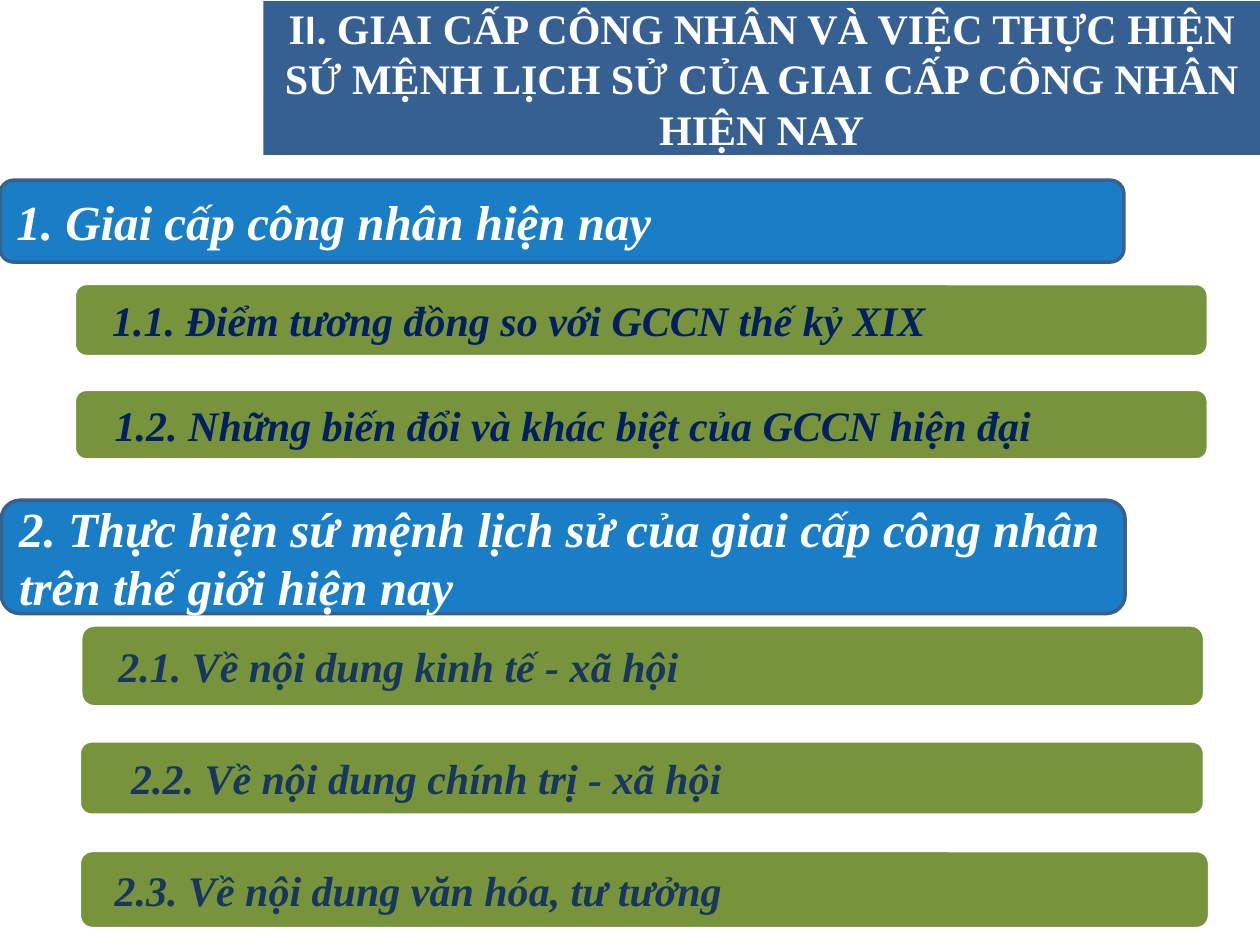
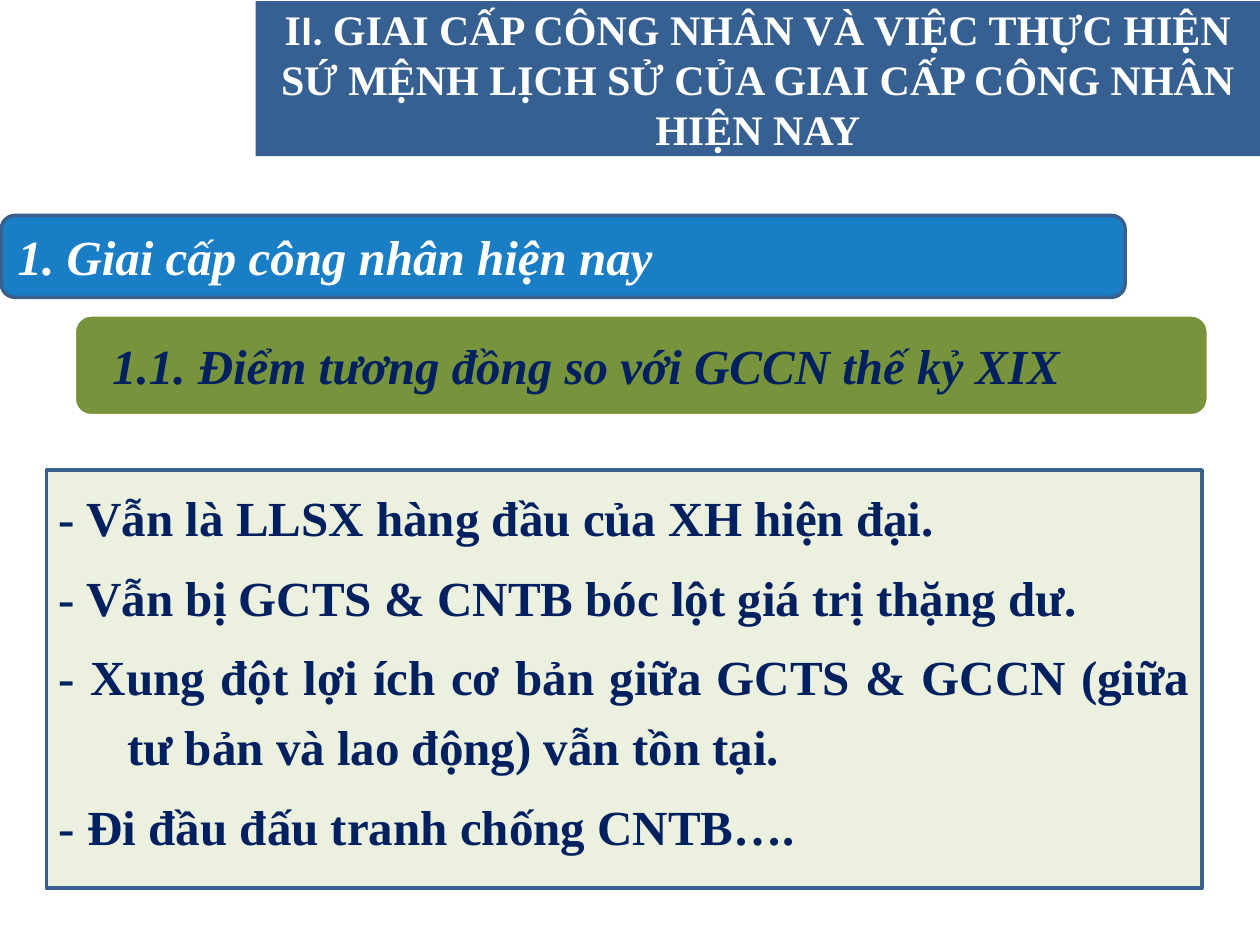
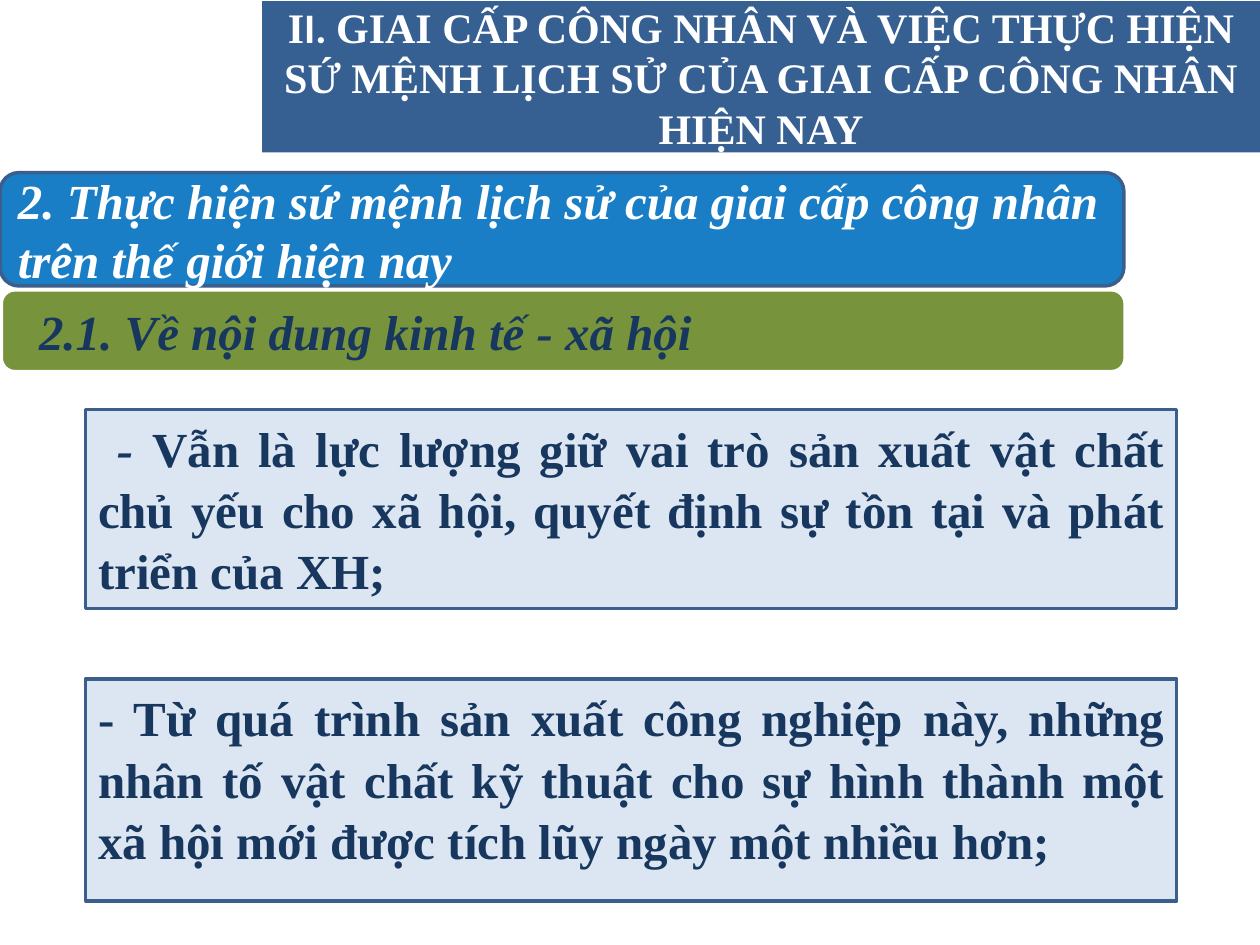
from dataclasses import dataclass

from lxml import etree
from pptx import Presentation
from pptx.dml.color import RGBColor
from pptx.enum.shapes import MSO_SHAPE
from pptx.enum.text import MSO_ANCHOR, PP_ALIGN
from pptx.oxml.ns import qn
from pptx.util import Inches, Pt

RECTANGLE = MSO_SHAPE.RECTANGLE
ROUNDED = MSO_SHAPE.ROUNDED_RECTANGLE
TOP, MIDDLE = MSO_ANCHOR.TOP, MSO_ANCHOR.MIDDLE
LEFT, CENTER, JUSTIFY = PP_ALIGN.LEFT, PP_ALIGN.CENTER, PP_ALIGN.JUSTIFY


@dataclass(frozen=True)
class Theme:
    white: str = "FFFFFF"
    title_band: str = "376092"
    heading: str = "0070C0"
    heading_opacity: int = 90
    outline: str = "3A5F8C"
    topic: str = "77933C"
    pale_green: str = "EBF1DE"
    pale_blue: str = "DCE6F2"
    navy: str = "002060"
    slate: str = "17375E"
    serif: str = "Times New Roman"
    sans: str = "Calibri"
    normal: int = 24
    large: int = 28
    line: int = 2


THEME = Theme()


@dataclass(frozen=True)
class Area:
    left: float
    top: float
    width: float
    height: float


@dataclass(frozen=True)
class Span:
    text: str
    font: str = THEME.serif
    italic: bool = False


@dataclass(frozen=True)
class Style:
    size: int
    color: str
    align: PP_ALIGN = LEFT
    anchor: MSO_ANCHOR = MIDDLE
    line_spacing: int | None = None
    space_before: float = 0
    hanging: float = 0


@dataclass(frozen=True)
class Heading:
    text: str
    left: float
    top: float
    height: float


@dataclass(frozen=True)
class Topic:
    text: str
    area: Area
    color: str
    size: int = THEME.normal
    shift: float = 0.06


@dataclass(frozen=True)
class Panel:
    area: Area
    fill: str
    style: Style
    paragraphs: list[list[Span]]


@dataclass(frozen=True)
class PageContent:
    title_left: float
    title_height: float
    headings: list[Heading]
    topics: list[Topic]
    panels: list[Panel]


# Text shared between slides
TITLE = [
    Span("I"),
    Span("I. ", THEME.sans),
    Span("GIAI CẤP CÔNG NHÂN VÀ VIỆC THỰC HIỆN SỨ MỆNH LỊCH SỬ "
         "CỦA GIAI CẤP CÔNG NHÂN HIỆN NAY"),
]
WORKERS_TODAY = "1. Giai cấp công nhân hiện nay"
MISSION_TODAY = "2. Thực hiện sứ mệnh lịch sử của giai cấp công nhân trên thế giới hiện nay"
SIMILARITIES = "1.1. Điểm tương đồng so với GCCN thế kỷ XIX"
ECONOMY = "2.1. Về nội dung kinh tế - xã hội"

TITLE_STYLE = Style(THEME.normal, THEME.white, CENTER)
HEADING_STYLE = Style(THEME.large, THEME.white)
LIST_STYLE = Style(THEME.large, THEME.navy, JUSTIFY, TOP, 40, 5.6, 0.54)
PROSE_STYLE = Style(THEME.large, THEME.slate, JUSTIFY, TOP, 35)

PAGES = [
    PageContent(
        2.09, 1.22,
        [Heading(WORKERS_TODAY, 0, 1.43, 0.65),
         Heading(MISSION_TODAY, 0.01, 3.97, 0.9)],
        [Topic(SIMILARITIES, Area(0.59, 2.25, 9, 0.58), THEME.navy),
         Topic("1.2. Những biến đổi và khác biệt của GCCN hiện đại",
               Area(0.59, 3.09, 9, 0.56), THEME.navy, shift=0.08),
         Topic(ECONOMY, Area(0.64, 4.96, 8.92, 0.65), THEME.slate),
         Topic("2.2. Về nội dung chính trị - xã hội",
               Area(0.63, 5.88, 8.93, 0.59), THEME.slate, shift=0.17),
         Topic("2.3. Về nội dung văn hóa, tư tưởng",
               Area(0.63, 6.75, 8.97, 0.62), THEME.slate, shift=0.04)],
        [],
    ),
    PageContent(
        2.03, 1.23,
        [Heading(WORKERS_TODAY, 0.01, 1.71, 0.65)],
        [Topic(SIMILARITIES, Area(0.59, 2.5, 9, 0.8), THEME.navy, THEME.large)],
        [Panel(Area(0.37, 3.73, 9.17, 3.32), THEME.pale_green, LIST_STYLE, [
            [Span("- Vẫn là LLSX hàng đầu của XH hiện đại.")],
            [Span("- Vẫn bị GCTS & CNTB bóc lột giá trị thặng dư.")],
            [Span("- Xung đột lợi ích cơ bản giữa GCTS & GCCN "
                  "(giữa tư bản và lao động) vẫn tồn tại.")],
            [Span("- Đi đầu đấu tranh chống CNTB….")],
        ])],
    ),
    PageContent(
        2.08, 1.2,
        [Heading(MISSION_TODAY, 0, 1.37, 0.9)],
        [Topic(ECONOMY, Area(0.01, 2.3, 8.92, 0.65), THEME.slate, THEME.large)],
        [Panel(Area(0.68, 3.25, 8.66, 1.58), THEME.pale_blue, PROSE_STYLE, [
            [Span(" - ", italic=True),
             Span("Vẫn là lực lượng giữ vai trò sản xuất vật chất chủ yếu cho xã hội, "
                  "quyết định sự tồn tại và phát triển của XH;")],
        ]),
         Panel(Area(0.68, 5.39, 8.66, 1.76), THEME.pale_blue, PROSE_STYLE, [
             [Span("- Từ quá trình sản xuất công nghiệp này, những nhân tố vật chất "
                   "kỹ thuật cho sự hình thành một xã hội mới được tích lũy "
                   "ngày một nhiều hơn;")],
         ])],
    ),
]


# Drawing helpers
def bounds(area: Area) -> tuple:
    return (Inches(area.left), Inches(area.top),
            Inches(area.width), Inches(area.height))


def add_block(shapes, kind: MSO_SHAPE, area: Area, fill: str,
              outline: str | None = None):
    block = shapes.add_shape(kind, *bounds(area))
    block.shadow.inherit = False
    block.fill.solid()
    block.fill.fore_color.rgb = RGBColor.from_string(fill)
    if outline:
        block.line.color.rgb = RGBColor.from_string(outline)
        block.line.width = Pt(THEME.line)
    else:
        block.line.fill.background()
    return block


def set_opacity(block, percent: int) -> None:
    color = block.element.spPr.find(qn("a:solidFill"))[0]
    etree.SubElement(color, qn("a:alpha")).set("val", str(percent * 1000))


def write(box, paragraphs: list[list[Span]], style: Style) -> None:
    frame = box.text_frame
    frame.word_wrap = True
    frame.vertical_anchor = style.anchor
    for index, spans in enumerate(paragraphs):
        para = frame.add_paragraph() if index else frame.paragraphs[0]
        para.alignment = style.align
        if style.line_spacing:
            para.line_spacing = Pt(style.line_spacing)
        if index and style.space_before:
            para.space_before = Pt(style.space_before)
        if style.hanging:
            properties = para._p.get_or_add_pPr()
            properties.set("marL", str(Inches(style.hanging)))
            properties.set("indent", str(-Inches(style.hanging)))
        for span in spans:
            run = para.add_run()
            run.text = span.text
            run.font.name = span.font
            run.font.size = Pt(style.size)
            run.font.bold = True
            run.font.italic = span.italic
            run.font.color.rgb = RGBColor.from_string(style.color)


# Slide parts
def add_title(page, left: float, height: float) -> None:
    band = add_block(page.shapes, RECTANGLE, Area(left, 0.01, 10 - left, height),
                     THEME.title_band)
    write(band, [TITLE], TITLE_STYLE)


def add_heading(page, heading: Heading) -> None:
    area = Area(heading.left, heading.top, 8.92, heading.height)
    bar = add_block(page.shapes, ROUNDED, area, THEME.heading, THEME.outline)
    set_opacity(bar, THEME.heading_opacity)
    write(bar, [[Span(heading.text, italic=True)]], HEADING_STYLE)


def add_topic(page, topic: Topic) -> None:
    group = page.shapes.add_group_shape()
    area = topic.area
    add_block(group.shapes, ROUNDED, area, THEME.topic, THEME.white)
    label = group.shapes.add_textbox(*bounds(Area(
        area.left + topic.shift, area.top + 0.03,
        area.width - 0.12, area.height - 0.06)))
    frame = label.text_frame
    frame.margin_left = frame.margin_right = Inches(0.24)
    frame.margin_top = frame.margin_bottom = 0
    write(label, [[Span(topic.text, italic=True)]], Style(topic.size, topic.color))


def add_panel(page, panel: Panel) -> None:
    box = add_block(page.shapes, RECTANGLE, panel.area, panel.fill, THEME.outline)
    write(box, panel.paragraphs, panel.style)


def main() -> None:
    deck = Presentation()
    deck.slide_width, deck.slide_height = Inches(10), Inches(7.5)
    blank = deck.slide_layouts[6]
    for content in PAGES:
        page = deck.slides.add_slide(blank)
        add_title(page, content.title_left, content.title_height)
        for heading in content.headings:
            add_heading(page, heading)
        for topic in content.topics:
            add_topic(page, topic)
        for panel in content.panels:
            add_panel(page, panel)
    deck.save("out.pptx")


if __name__ == "__main__":
    main()
